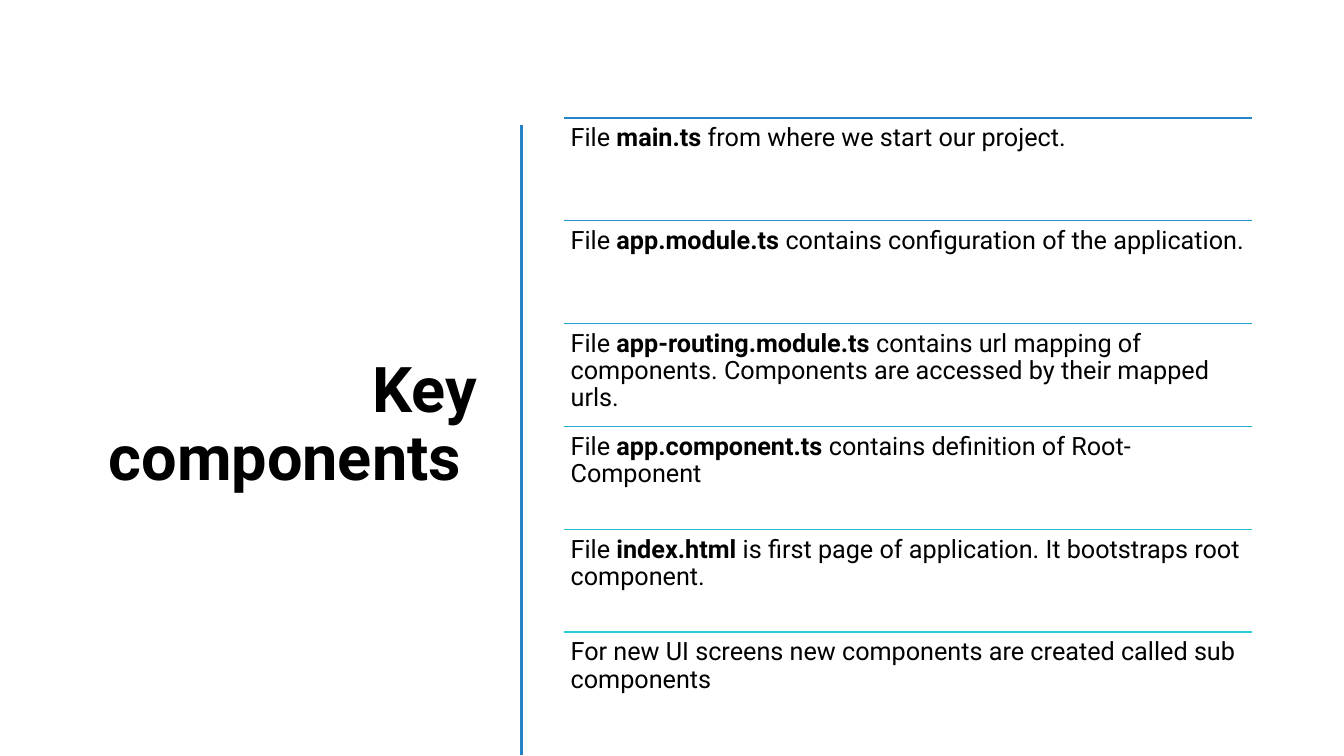
"""Builds the slide listing the key components of an application."""
from dataclasses import dataclass

from lxml.etree import SubElement
from pptx import Presentation
from pptx.dml.color import RGBColor
from pptx.enum.shapes import MSO_CONNECTOR
from pptx.enum.text import MSO_ANCHOR, MSO_AUTO_SIZE, PP_ALIGN
from pptx.oxml.ns import qn
from pptx.util import Inches, Pt


@dataclass(frozen=True)
class Theme:
    font: str = "Roboto"
    text: str = "000000"
    accent: str = "2683C6"
    title_size: int = 45
    body_size: int = 18


theme = Theme()


def add_rule(page, start, end, color, width):
    rule = page.shapes.add_connector(
        MSO_CONNECTOR.STRAIGHT, *(Inches(value) for value in start + end)
    )
    rule.line.color.rgb = RGBColor.from_string(color)
    rule.line.width = Pt(width)
    SubElement(rule._element.spPr, qn("a:effectLst"))


def style_paragraph(para, size, bold=None):
    para.line_spacing = 0.9
    para.font.name = theme.font
    para.font.size = Pt(size)
    para.font.bold = bold
    para.font.color.rgb = RGBColor.from_string(theme.text)


deck = Presentation()
deck.slide_width, deck.slide_height = Inches(13.33), Inches(7.5)
page = deck.slides.add_slide(deck.slide_layouts[5])

title = page.shapes.title
title.left, title.top = Inches(0.52), Inches(1.17)
title.width, title.height = Inches(4.31), Inches(6.11)
title.text_frame.text = "Key components "
title.text_frame.word_wrap = True
title.text_frame.auto_size = MSO_AUTO_SIZE.NONE
title.text_frame.vertical_anchor = MSO_ANCHOR.MIDDLE
heading = title.text_frame.paragraphs[0]
heading.alignment = PP_ALIGN.RIGHT
style_paragraph(heading, theme.title_size, bold=True)

add_rule(page, (5.17, 1.24), (5.17, 7.49), theme.accent, 2)

components = [
    (theme.accent, "File ", "main.ts ", "from where we start our project."),
    ("2691C9", "File ", "app.module.ts ", "contains configuration of the application."),
    ("26A0CD", "File ", "app-routing.module.ts",
     " contains url mapping of components. Components are accessed by their mapped urls."),
    ("27AFD0", "File ", "app.component.ts ", "contains definition of Root- Component"),
    ("27BED4", "File ", "index.html ",
     "is first page of application. It bootstraps root component."),
    ("27CED7", "For new UI screens new components are created called sub components"),
]
left, first_top, width, row_height = 5.59, 1.17, 6.83, 1.02

for row, (color, *parts) in enumerate(components):
    top = first_top + row * row_height
    add_rule(page, (left, top), (left + width, top), color, 1)
    box = page.shapes.add_textbox(
        Inches(left), Inches(top), Inches(width), Inches(row_height)
    )
    frame = box.text_frame
    frame.word_wrap = True
    frame.margin_left = frame.margin_right = Inches(0.07)
    frame.margin_top = frame.margin_bottom = Inches(0.07)
    para = frame.paragraphs[0]
    style_paragraph(para, theme.body_size)
    for position, part in enumerate(parts):
        span = para.add_run()
        span.text = part
        span.font.bold = position == 1

deck.save("out.pptx")
